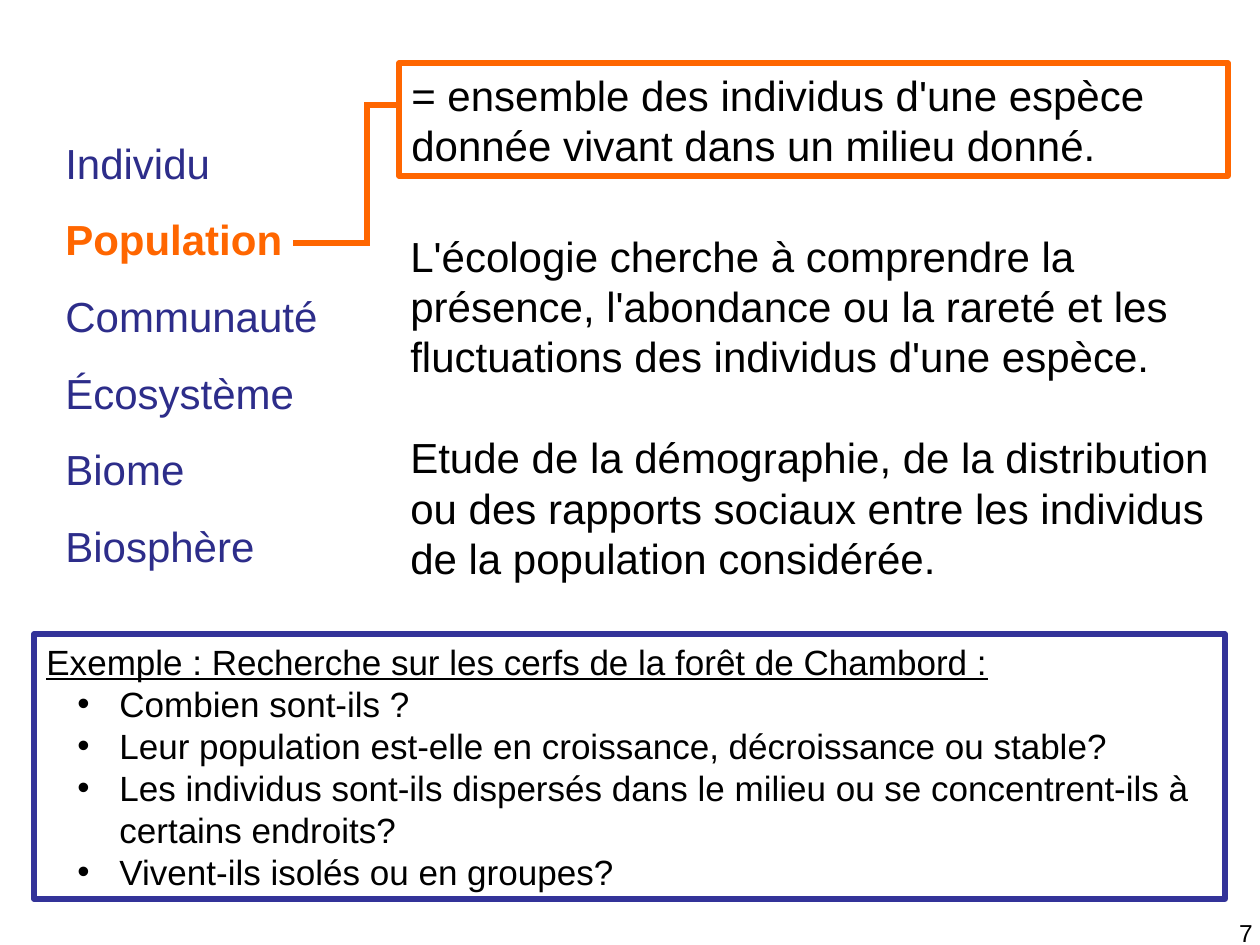
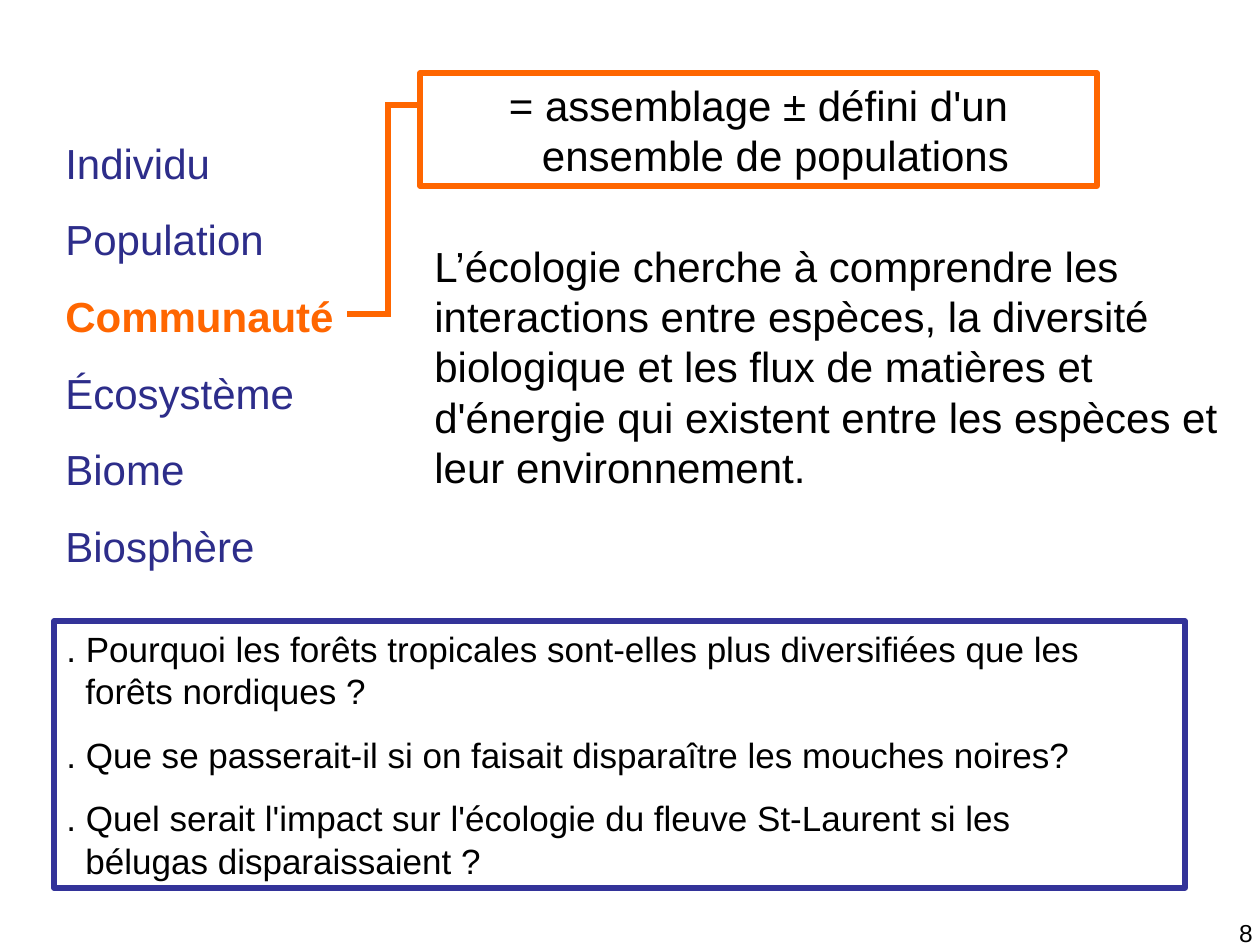
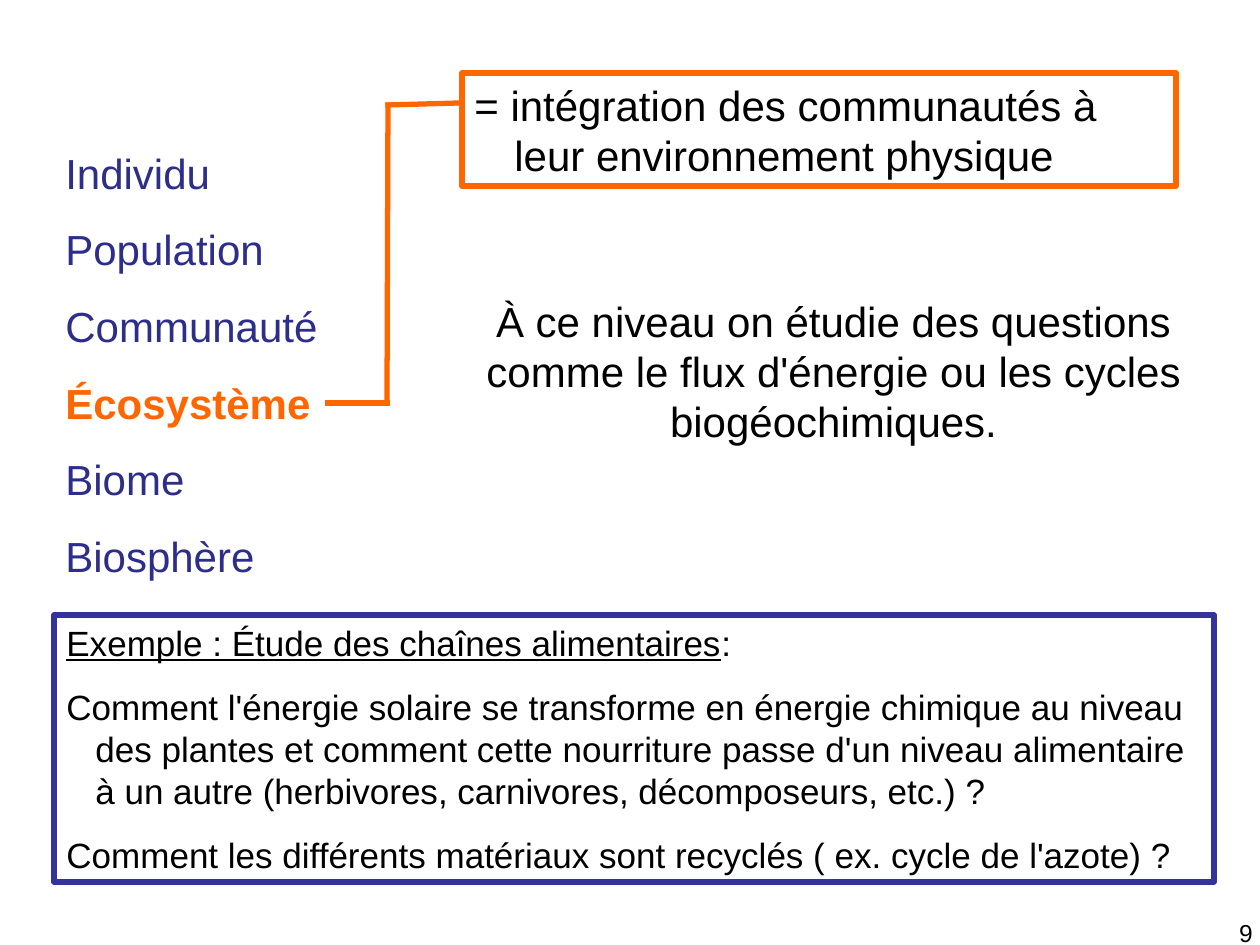
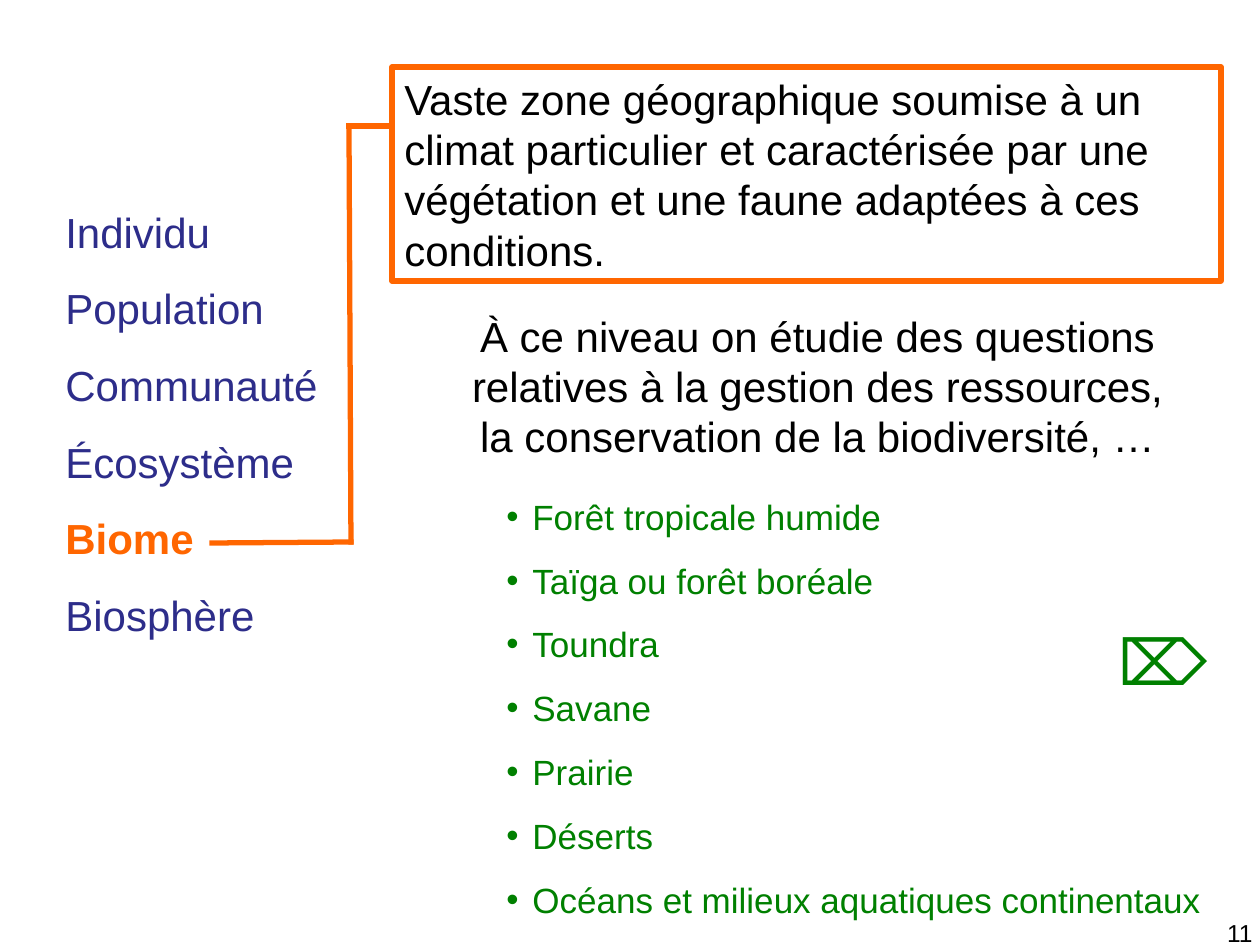
import dataclasses
import itertools

import pptx
import pptx.dml.color
import pptx.enum.shapes
import pptx.enum.text
import pptx.oxml.ns
import pptx.util
import lxml.etree

EMU_PER_PX = 914400 / 126
LEVELS = ["Individu", "Population", "Communauté", "Écosystème", "Biome", "Biosphère"]


def px(length):
    return pptx.util.Emu(round(length * EMU_PER_PX))


def rgb(value):
    return pptx.dml.color.RGBColor.from_string(value)


@dataclasses.dataclass(frozen=True)
class Theme:
    font: str = "Arial"
    ink: str = "000000"
    level: str = "2D2D8A"
    accent: str = "FF6600"
    frame: str = "333399"
    biome: str = "008000"
    body: int = 24
    detail: int = 20
    number: int = 14
    symbol: int = 36
    line: int = 3
    body_gap: float = 15
    detail_gap: float = 12.5
    blank_line: float = 28.8


class Deck:
    """Builds the slides in one style."""

    def __init__(self, theme):
        self.theme = theme
        self.presentation = pptx.Presentation()
        self.presentation.slide_width = px(1260)
        self.presentation.slide_height = px(945)
        self.slide = None

    def new_slide(self, number, current, levels_top):
        self.slide = self.presentation.slides.add_slide(self.presentation.slide_layouts[6])
        self.text((972, 912, 293, 66), [str(number)], size=self.theme.number,
                  align=pptx.enum.text.PP_ALIGN.RIGHT)
        levels = self.text((53, levels_top, 325, 446), LEVELS, color=self.theme.level,
                           gap=self.theme.body_gap)
        highlight = levels[LEVELS.index(current)].runs[0].font
        highlight.bold = True
        highlight.color.rgb = rgb(self.theme.accent)

    def style(self, run, size, color):
        run.font.name = self.theme.font
        run.font.size = pptx.util.Pt(size)
        run.font.color.rgb = rgb(color)

    def fill_text(self, frame, lines, size, color, gap=0, align=None, hang=0):
        frame.word_wrap = True
        frame.vertical_anchor = pptx.enum.text.MSO_ANCHOR.TOP
        for index, line in enumerate(lines):
            paragraph = frame.add_paragraph() if index else frame.paragraphs[0]
            paragraph.text = line
            paragraph.alignment = align or pptx.enum.text.PP_ALIGN.LEFT
            if index and gap:
                paragraph.space_before = pptx.util.Pt(gap)
            if hang:
                self.indent(paragraph, hang, hang)
            for run in paragraph.runs:
                self.style(run, size, color)
        return frame.paragraphs

    def indent(self, paragraph, margin, hang):
        properties = paragraph._p.get_or_add_pPr()
        properties.set("marL", str(px(margin)))
        properties.set("indent", str(-px(hang)))

    def bullet(self, paragraph, margin, hang, color):
        self.indent(paragraph, margin, hang)
        properties = paragraph._p.get_or_add_pPr()
        qn = pptx.oxml.ns.qn
        tint = lxml.etree.SubElement(properties, qn("a:buClr"))
        lxml.etree.SubElement(tint, qn("a:srgbClr"), val=color)
        lxml.etree.SubElement(properties, qn("a:buFont"), typeface=self.theme.font)
        lxml.etree.SubElement(properties, qn("a:buChar"), char="•")

    def text(self, area, lines, size=None, color=None, **layout):
        box = self.slide.shapes.add_textbox(*map(px, area))
        return self.fill_text(box.text_frame, lines, size or self.theme.body,
                              color or self.theme.ink, **layout)

    def framed(self, area, lines, border, size, **layout):
        box = self.slide.shapes.add_shape(
            pptx.enum.shapes.MSO_SHAPE.RECTANGLE, *map(px, area))
        box.shadow.inherit = False
        box.fill.background()
        box.line.color.rgb = rgb(border)
        box.line.width = pptx.util.Pt(self.theme.line)
        return self.fill_text(box.text_frame, lines, size, self.theme.ink, **layout)

    def definition(self, area, text, **layout):
        self.framed(area, [text], self.theme.accent, self.theme.body, **layout)

    def example(self, area, lines, **layout):
        return self.framed(area, lines, self.theme.frame, self.theme.detail, **layout)

    def link(self, *points):
        qn = pptx.oxml.ns.qn
        for start, end in itertools.pairwise(points):
            segment = self.slide.shapes.add_connector(
                pptx.enum.shapes.MSO_CONNECTOR.STRAIGHT, *map(px, start + end))
            segment.line.color.rgb = rgb(self.theme.accent)
            segment.line.width = pptx.util.Pt(self.theme.line)
            properties = segment._element.spPr
            properties.find(qn("a:ln")).set("cap", "sq")
            lxml.etree.SubElement(properties, qn("a:effectLst"))


def population(deck):
    theme = deck.theme
    deck.new_slide(7, "Population", 131)
    deck.text((398, 224, 847, 365), [
        "L'écologie cherche à comprendre la présence, l'abondance ou la rareté et les "
        "fluctuations des individus d'une espèce.",
        "Etude de la démographie, de la distribution ou des rapports sociaux entre les "
        "individus de la population considérée.",
    ], gap=theme.blank_line)
    title, *questions = deck.example((34, 634, 1191, 265), [
        "Exemple : Recherche sur les cerfs de la forêt de Chambord :",
        "Combien sont-ils ?",
        "Leur population est-elle en croissance, décroissance ou stable?",
        "Les individus sont-ils dispersés dans le milieu ou se concentrent-ils à\v"
        "certains endroits?",
        "Vivent-ils isolés ou en groupes?",
    ])
    title.runs[0].font.underline = True
    for question in questions:
        deck.bullet(question, 73, 42, theme.ink)
    deck.definition((399, 63, 829, 113),
                    "= ensemble des individus d'une espèce donnée vivant dans un milieu donné.")
    deck.link((296, 243), (367, 243), (367, 105), (399, 105))


def community(deck):
    deck.new_slide(8, "Communauté", 131)
    deck.definition((420, 73, 677, 113),
                    "= assemblage ± défini d'un\vensemble de populations",
                    align=pptx.enum.text.PP_ALIGN.CENTER, hang=34)
    deck.link((350, 314), (388, 314), (388, 105), (420, 105))
    deck.text((422, 234, 814, 265), [
        "L’écologie cherche à comprendre les interactions entre espèces, la diversité "
        "biologique et les flux de matières et d'énergie qui existent entre les espèces "
        "et leur environnement."])
    deck.example((54, 621, 1131, 267), [
        ". Pourquoi les forêts tropicales sont-elles plus diversifiées que les\v"
        "forêts nordiques ?",
        ". Que se passerait-il si on faisait disparaître les mouches noires?",
        ". Quel serait l'impact sur l'écologie du fleuve St-Laurent si les\v"
        "bélugas disparaissaient ?",
    ], gap=deck.theme.detail_gap, hang=19)


def ecosystem(deck):
    theme = deck.theme
    deck.new_slide(9, "Écosystème", 141)
    deck.definition((462, 73, 714, 113),
                    "= intégration des communautés à leur environnement physique", hang=40)
    deck.link((328, 403), (387, 403), (388, 105), (459, 103))
    deck.text((471, 289, 725, 164), [
        "À ce niveau on étudie des questions comme le flux d'énergie ou les cycles "
        "biogéochimiques."], align=pptx.enum.text.PP_ALIGN.CENTER)
    title, *_ = deck.example((54, 615, 1160, 267), [
        "Exemple : Étude des chaînes alimentaires",
        "Comment l'énergie solaire se transforme en énergie chimique au niveau\v"
        "des plantes et comment cette nourriture passe d'un niveau alimentaire\v"
        "à un autre (herbivores, carnivores, décomposeurs, etc.) ?",
        "Comment les différents matériaux sont recyclés ( ex. cycle de l'azote) ?",
    ], gap=theme.detail_gap, hang=29)
    title.runs[0].font.underline = True
    colon = title.add_run()
    colon.text = ":"
    deck.style(colon, theme.detail, theme.ink)


def biome(deck):
    theme = deck.theme
    deck.new_slide(11, "Biome", 200)
    deck.definition((392, 67, 829, 214),
                    "Vaste zone géographique soumise à un climat particulier et caractérisée "
                    "par une végétation et une faune adaptées à ces conditions.")
    deck.link((212, 543), (351, 542), (349, 126), (389, 126))
    biomes = deck.text((494, 489, 725, 438), [
        "Forêt tropicale humide", "Taïga ou forêt boréale", "Toundra", "Savane",
        "Prairie", "Déserts", "Océans et milieux aquatiques continentaux",
    ], size=theme.detail, color=theme.biome, gap=theme.detail_gap)
    for name in biomes:
        deck.bullet(name, 26, 26, theme.biome)
    deck.text((1106, 616, 69, 88), ["⌦"], size=theme.symbol, color=theme.biome)
    deck.text((455, 304, 725, 164), [
        "À ce niveau on étudie des questions relatives à la gestion des ressources, "
        "la conservation de la biodiversité, …"], align=pptx.enum.text.PP_ALIGN.CENTER)


def main():
    deck = Deck(Theme())
    for build in (population, community, ecosystem, biome):
        build(deck)
    deck.presentation.save("out.pptx")


if __name__ == "__main__":
    main()
